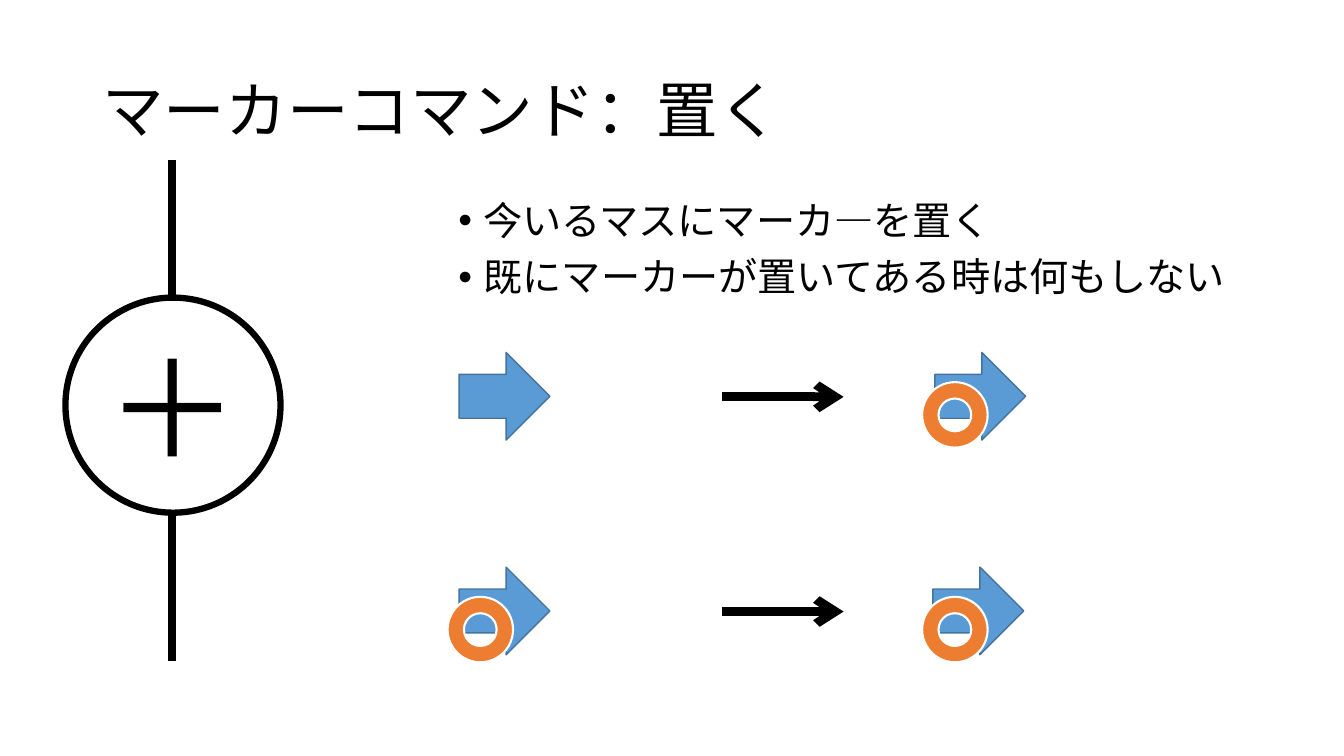
from pptx import Presentation
from pptx.dml.color import RGBColor
from pptx.enum.shapes import MSO_CONNECTOR, MSO_SHAPE
from pptx.enum.text import MSO_ANCHOR, PP_ALIGN
from pptx.oxml.ns import qn
from pptx.util import Cm, Pt
from lxml.etree import SubElement

BLACK = RGBColor(0x00, 0x00, 0x00)
WHITE = RGBColor(0xFF, 0xFF, 0xFF)
BLUE = RGBColor(0x5B, 0x9B, 0xD5)
DARK_BLUE = RGBColor(0x43, 0x73, 0x9E)
ORANGE = RGBColor(0xED, 0x7D, 0x31)

prs = Presentation()
prs.slide_width, prs.slide_height = Cm(33.87), Cm(19.05)
s = prs.slides.add_slide(prs.slide_layouts[6])


def add_shape(kind, x, y, w, h, fill, line, width):
    sp = s.shapes.add_shape(kind, Cm(x), Cm(y), Cm(w), Cm(h))
    sp.shadow.inherit = False
    sp.fill.solid()
    sp.fill.fore_color.rgb = fill
    sp.line.color.rgb = line
    sp.line.width = Pt(width)
    return sp


def add_line(x1, y1, x2, y2, width):
    c = s.shapes.add_connector(MSO_CONNECTOR.STRAIGHT, Cm(x1), Cm(y1), Cm(x2), Cm(y2))
    c.line.color.rgb = BLACK
    c.line.width = Pt(width)
    SubElement(c._element.spPr, qn("a:effectLst"))
    return c


# Title and bullet list
texts = [
    ((2.33, 1.01, 29.21, 3.68), MSO_ANCHOR.MIDDLE, 44, False, ["マーカーコマンド：置く"]),
    ((11.3, 4.95, 19.86, 12.09), MSO_ANCHOR.TOP, 28, True,
     ["今いるマスにマーカ―を置く", "既にマーカーが置いてある時は何もしない"]),
]
for box, anchor, size, bulleted, lines in texts:
    tf = s.shapes.add_textbox(*map(Cm, box)).text_frame
    tf.word_wrap = True
    tf.vertical_anchor = anchor
    for i, line in enumerate(lines):
        p = tf.paragraphs[0] if i == 0 else tf.add_paragraph()
        p.line_spacing = 0.9
        p.space_before = Pt(10 if i else 0)
        if bulleted:
            pPr = p._p.get_or_add_pPr()
            pPr.set("marL", str(Cm(0.64)))
            pPr.set("indent", str(-Cm(0.64)))
            SubElement(pPr, qn("a:buFont"), typeface="Arial")
            SubElement(pPr, qn("a:buChar"), char="•")
        r = p.add_run()
        r.text = line
        for name, value in {"name": "Calibri", "size": Pt(size)}.items():
            setattr(r.font, name, value)
        r.font.color.rgb = BLACK

# Command symbol: lines above and below a circled plus
for top in (4.04, 12.95):
    add_line(4.33, top + 3.7, 4.33, top, 6)

sp = add_shape(MSO_SHAPE.OVAL, 1.65, 7.5, 5.42, 5.42, WHITE, BLACK, 4.5)
tf = sp.text_frame
for name, value in {"word_wrap": False, "vertical_anchor": MSO_ANCHOR.MIDDLE,
                    "margin_left": 0, "margin_right": 0}.items():
    setattr(tf, name, value)
p = tf.paragraphs[0]
p.alignment = PP_ALIGN.CENTER
r = p.add_run()
r.text = "＋"
for name, value in {"name": "Calibri", "size": Pt(96)}.items():
    setattr(r.font, name, value)
r.font.color.rgb = BLACK

# Before and after rows: (arrow x, marker x or None) for each state
rows = [
    (8.84, [(11.61, None), (23.6, 23.24)]),
    (14.25, [(11.61, 11.28), (23.55, 23.24)]),
]
for top, states in rows:
    c = add_line(18.19, top + 1.16, 21.26, top + 1.16, 6.25)
    SubElement(c.line._get_or_add_ln(), qn("a:tailEnd"), type="arrow")
    for arrow_x, marker_x in states:
        sp = add_shape(MSO_SHAPE.DOWN_ARROW, arrow_x, top, 2.21, 2.29, BLUE, DARK_BLUE, 1)
        sp.rotation = 270
        if marker_x is not None:
            add_shape(MSO_SHAPE.DONUT, marker_x, top + 0.79, 1.65, 1.65, ORANGE, WHITE, 1.5)

prs.save("out.pptx")
